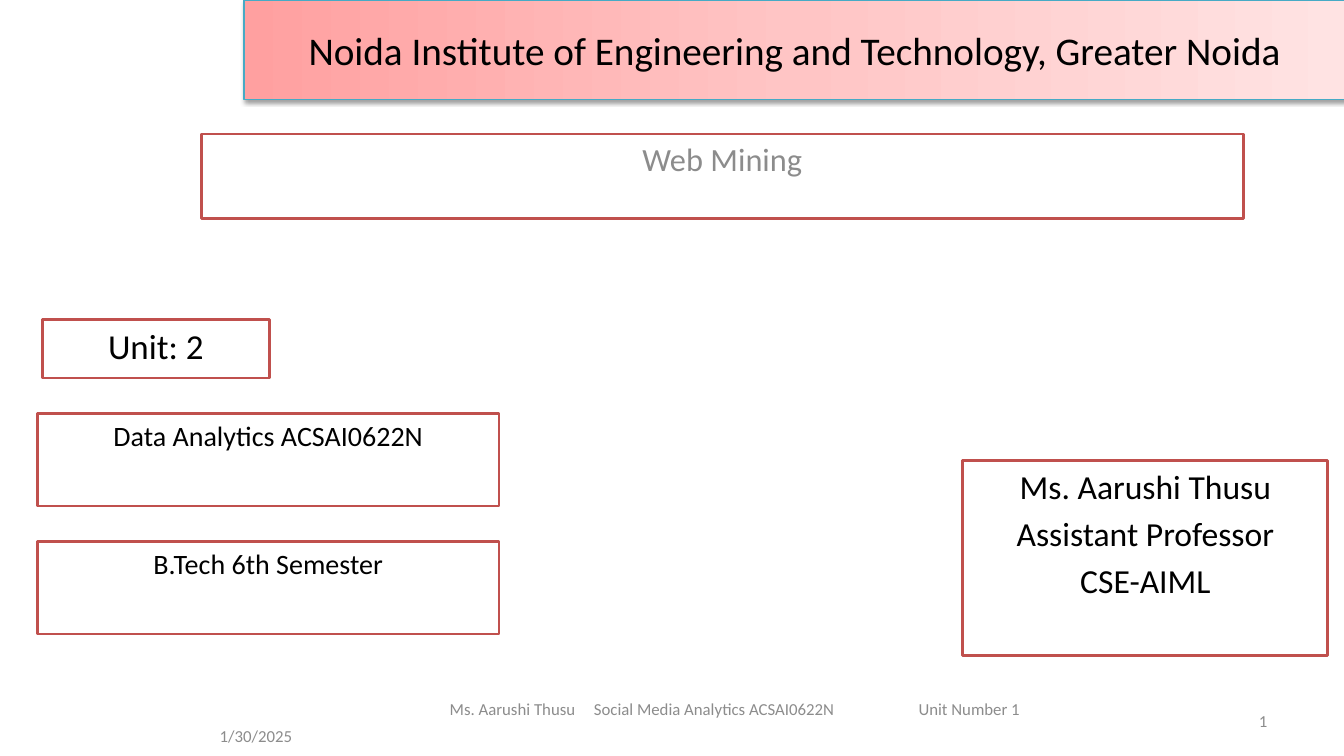
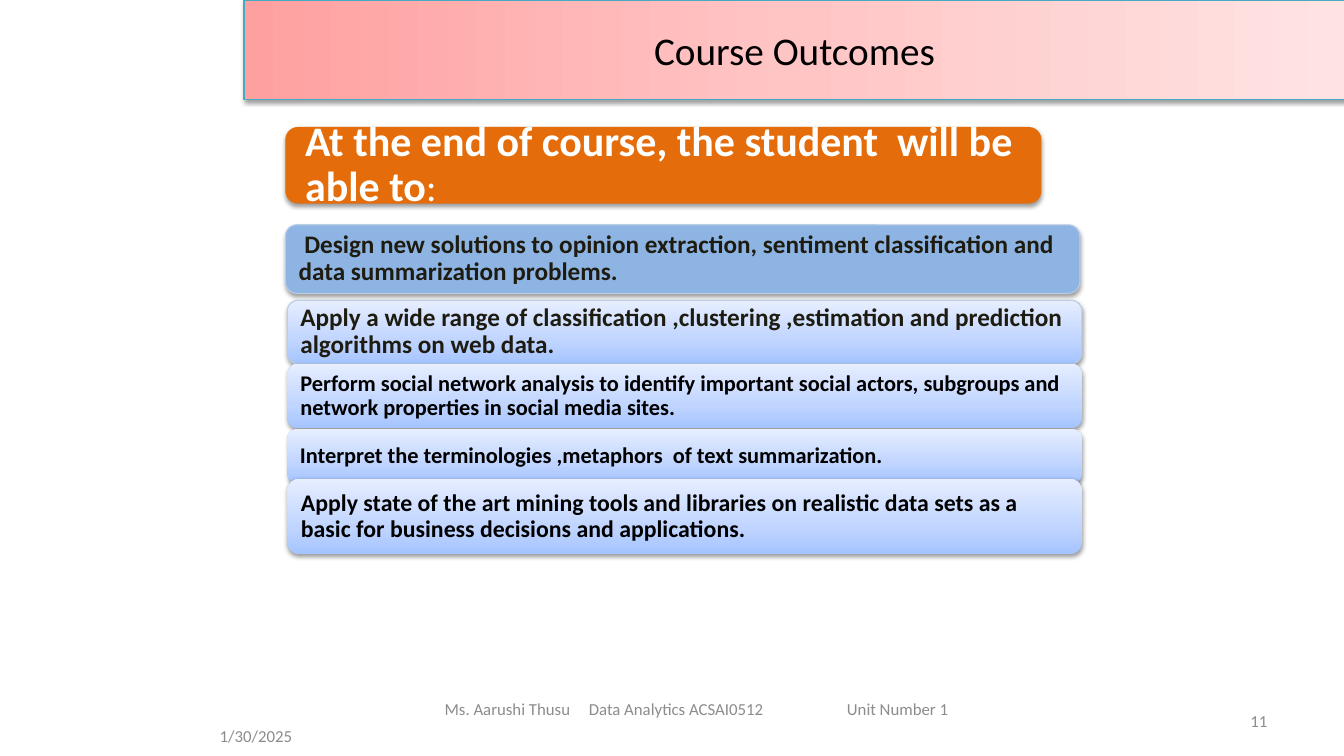
from dataclasses import dataclass
from typing import Optional

import lxml.etree
import pptx
import pptx.dml.color
import pptx.enum.shapes
import pptx.enum.text
import pptx.oxml.ns
import pptx.util
from pptx.util import Inches

FONT = "Calibri"
BLACK, WHITE, GREY = "000000", "FFFFFF", "8C8C8C"
FRAME_RED, TITLE_EDGE, BAR_EDGE = "C0504D", "46AAC5", "B9CDE5"
ORANGE, BLUE, DARK = "E46C0A", "8EB4E3", "1E1C11"
TITLE_GRADIENT = [(0, "FFA0A0"), (50, "FFC5C5"), (100, "FFE3E3")]
BAR_GRADIENT = [(0, "A4C4FF"), (35, "BFD4FF"), (100, "E6EEFF")]

ALIGN = pptx.enum.text.PP_ALIGN
ANCHOR = pptx.enum.text.MSO_ANCHOR
SHAPE = pptx.enum.shapes.MSO_SHAPE


@dataclass
class Box:
    left: float
    top: float
    width: float
    height: float


@dataclass
class Frame:
    box: Box
    lines: list[str]
    size: float


@dataclass
class Bar:
    box: Box
    text: str
    size: float
    color: str = BLACK
    fill: Optional[str] = None
    edge: Optional[str] = None
    inset: float = 0.1
    ending: str = ""


@dataclass
class Footer:
    """Three footer texts; the tab stops are measured from the text's left edge."""
    width: float
    inset: float
    texts: list[str]
    tabs: list[float]
    number: str


def rgb(value: str) -> pptx.dml.color.RGBColor:
    return pptx.dml.color.RGBColor.from_string(value)


def add_xml(parent, tag: str, **attributes):
    element = lxml.etree.SubElement(parent, pptx.oxml.ns.qn(tag))
    for name, value in attributes.items():
        element.set(name, str(value))
    return element


def place(shape, box: Box) -> None:
    shape.left, shape.top = Inches(box.left), Inches(box.top)
    shape.width, shape.height = Inches(box.width), Inches(box.height)


def add_shape(slide, kind, box: Box):
    return slide.shapes.add_shape(
        kind, Inches(box.left), Inches(box.top), Inches(box.width), Inches(box.height))


def fill_solid(shape, color: str) -> None:
    shape.fill.solid()
    shape.fill.fore_color.rgb = rgb(color)


def fill_gradient(shape, stops: list[tuple[int, str]], angle: float) -> None:
    shape.fill.gradient()
    shape.fill.gradient_angle = angle
    stop_list = shape._element.spPr.find(".//" + pptx.oxml.ns.qn("a:gsLst"))
    for old_stop in list(stop_list):
        stop_list.remove(old_stop)
    for position, color in stops:
        stop = add_xml(stop_list, "a:gs", pos=position * 1000)
        add_xml(stop, "a:srgbClr", val=color)


def set_line(shape, color: Optional[str], width: float = 0.75) -> None:
    if color is None:
        shape.line.fill.background()
    else:
        shape.line.color.rgb = rgb(color)
        shape.line.width = pptx.util.Pt(width)


def drop_shadow(shape, distance: float = 1.6) -> None:
    shape.shadow.inherit = False
    effects = shape._element.spPr.find(pptx.oxml.ns.qn("a:effectLst"))
    shadow = add_xml(effects, "a:outerShdw", blurRad=pptx.util.Pt(3.1),
                     dist=pptx.util.Pt(distance), dir=5400000, rotWithShape=0)
    color = add_xml(shadow, "a:srgbClr", val=BLACK)
    add_xml(color, "a:alpha", val=38000)


def style_font(font, size: float, color: str, bold: bool = False) -> None:
    font.name = FONT
    font.size = pptx.util.Pt(size)
    font.color.rgb = rgb(color)
    font.bold = bold


def write(shape, lines: list[str], size: float, color: str,
          align=ALIGN.CENTER, anchor=ANCHOR.MIDDLE, bold: bool = False):
    """Fill a shape with lines, a fifth of the size apart, and return its text frame."""
    frame = shape.text_frame
    frame.word_wrap = True
    frame.auto_size = pptx.enum.text.MSO_AUTO_SIZE.NONE
    frame.vertical_anchor = anchor
    for index, line in enumerate(lines):
        paragraph = frame.add_paragraph() if index else frame.paragraphs[0]
        paragraph.text = line
        paragraph.alignment = align
        paragraph.space_before = pptx.util.Pt(size * 0.2 if index else 0)
        style_font(paragraph.font, size, color, bold)
    return frame


def set_title(slide, text: str) -> None:
    title = slide.shapes.title
    place(title, Box(2.42, 0, 10.92, 0.99))
    fill_gradient(title, TITLE_GRADIENT, 0)
    set_line(title, TITLE_EDGE)
    drop_shadow(title)
    write(title, [text], 28, BLACK)


def style_frame(shape) -> None:
    fill_solid(shape, WHITE)
    set_line(shape, FRAME_RED, 2)
    shape.shadow.inherit = False


def add_frame(slide, frame: Frame) -> None:
    shape = add_shape(slide, SHAPE.RECTANGLE, frame.box)
    style_frame(shape)
    write(shape, frame.lines, frame.size, BLACK, anchor=ANCHOR.TOP)


def add_bar(slide, bar: Bar) -> None:
    shape = add_shape(slide, SHAPE.ROUNDED_RECTANGLE, bar.box)
    if bar.fill:
        fill_solid(shape, bar.fill)
    else:
        fill_gradient(shape, BAR_GRADIENT, 90)
    set_line(shape, bar.edge)
    drop_shadow(shape, 1.8 if bar.fill else 1.6)
    frame = write(shape, [bar.text], bar.size, bar.color, ALIGN.LEFT, bold=True)
    frame.margin_left = frame.margin_right = Inches(bar.inset)
    frame.margin_top = frame.margin_bottom = 0
    paragraph = frame.paragraphs[0]
    paragraph.line_spacing = 0.9
    if bar.ending:
        run = paragraph.add_run()
        run.text = bar.ending
        style_font(run.font, 28, bar.color)


def add_note(slide, box: Box, text: str, align):
    shape = slide.shapes.add_textbox(
        Inches(box.left), Inches(box.top), Inches(box.width), Inches(box.height))
    return write(shape, [text], 12, GREY, align)


def add_footer(slide, footer: Footer) -> None:
    add_note(slide, Box(2.08, 7.1, 2.33, 0.4), "1/30/2025", ALIGN.LEFT)
    add_note(slide, Box(9.56, 6.95, 3.11, 0.4), footer.number, ALIGN.RIGHT)
    frame = add_note(slide, Box(4.17, 6.83, footer.width, 0.4), "", ALIGN.LEFT)
    frame.margin_left = Inches(footer.inset)
    paragraph = frame.paragraphs[0]
    properties = paragraph._p.get_or_add_pPr()
    tab_list = lxml.etree.Element(pptx.oxml.ns.qn("a:tabLst"))
    for tab in footer.tabs:
        add_xml(tab_list, "a:tab", pos=Inches(tab), algn="l")
    properties.find(pptx.oxml.ns.qn("a:defRPr")).addprevious(tab_list)
    paragraph.text = "\t".join(footer.texts)


def build_cover(presentation) -> None:
    slide = presentation.slides.add_slide(presentation.slide_layouts[0])
    set_title(slide, "Noida Institute of Engineering and Technology, Greater Noida")
    subtitle = slide.placeholders[1]
    place(subtitle, Box(2, 1.33, 10.33, 0.84))
    style_frame(subtitle)
    write(subtitle, ["Web Mining"], 23.1, GREY, anchor=ANCHOR.TOP)
    frames = [
        Frame(Box(9.55, 4.57, 3.62, 1.93),
              ["Ms. Aarushi Thusu", "Assistant Professor", "CSE-AIML"], 24),
        Frame(Box(0.42, 3.17, 2.25, 0.58), ["Unit: 2"], 25),
        Frame(Box(0.37, 4.1, 4.58, 0.92), ["Data Analytics ACSAI0622N"], 20),
        Frame(Box(0.37, 5.37, 4.58, 0.92), ["B.Tech 6th Semester"], 20),
    ]
    for frame in frames:
        add_frame(slide, frame)
    add_footer(slide, Footer(
        6.25, 0.29,
        ["Ms. Aarushi Thusu", "Social Media Analytics ACSAI0622N", "Unit Number 1"],
        [1.43, 4.65], "1"))


def build_outcomes(presentation) -> None:
    slide = presentation.slides.add_slide(presentation.slide_layouts[5])
    set_title(slide, "Course Outcomes")
    bars = [
        Bar(Box(2.83, 1.26, 7.5, 0.76), "At the end of course, the student  will be able to",
            30, WHITE, ORANGE, inset=0.16, ending=":"),
        Bar(Box(2.83, 2.23, 7.88, 0.68),
            " Design new solutions to opinion extraction, sentiment classification and "
            "data summarization problems.", 18, DARK, BLUE, BAR_EDGE),
        Bar(Box(2.85, 2.98, 7.88, 0.63),
            "Apply a wide range of classification ,clustering ,estimation and prediction "
            "algorithms on web data.", 18, DARK, edge=BAR_EDGE),
        Bar(Box(2.85, 3.61, 7.88, 0.64),
            "Perform social network analysis to identify important social actors, subgroups "
            "and network properties in social media sites.", 16),
        Bar(Box(2.85, 4.26, 7.88, 0.53),
            "Interpret the terminologies ,metaphors  of text summarization.", 16),
        Bar(Box(2.85, 4.75, 7.88, 0.75),
            "Apply state of the art mining tools and libraries on realistic data sets as a "
            "basic for business decisions and applications.", 17),
    ]
    for bar in bars:
        add_bar(slide, bar)
    add_footer(slide, Footer(
        5.5, 0.24,
        ["Ms. Aarushi Thusu", "Data Analytics ACSAI0512", "Unit Number 1"],
        [1.43, 3.99], "11"))


def main() -> None:
    presentation = pptx.Presentation()
    presentation.slide_width = Inches(13.33)
    presentation.slide_height = Inches(7.5)
    build_cover(presentation)
    build_outcomes(presentation)
    presentation.save("out.pptx")


if __name__ == "__main__":
    main()
